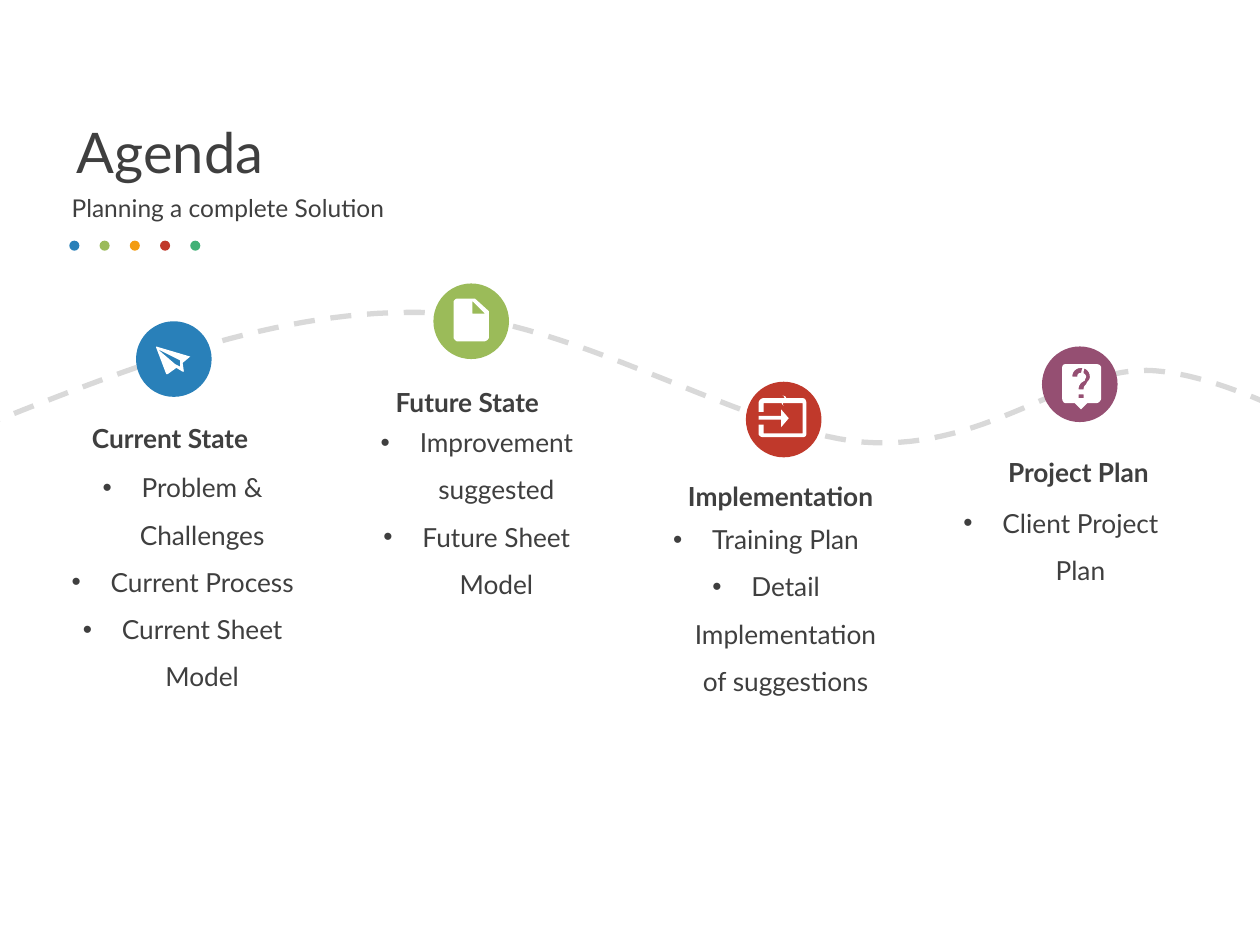
from lxml import etree
from pptx import Presentation
from pptx.dml.color import RGBColor
from pptx.enum.dml import MSO_LINE
from pptx.enum.shapes import MSO_SHAPE
from pptx.enum.text import MSO_ANCHOR, MSO_AUTO_SIZE, PP_ALIGN
from pptx.oxml.ns import qn
from pptx.util import Inches, Pt

BLUE = RGBColor(0x29, 0x80, 0xB9)
GREEN = RGBColor(0x9B, 0xBB, 0x59)
ORANGE = RGBColor(0xF3, 0x9C, 0x12)
RED = RGBColor(0xC0, 0x39, 0x2B)
TEAL = RGBColor(0x41, 0xB1, 0x76)
PURPLE = RGBColor(0x95, 0x4F, 0x72)
WHITE = RGBColor(0xFF, 0xFF, 0xFF)
GREY = RGBColor(0xD9, 0xD9, 0xD9)
INK = RGBColor(0x3F, 0x3F, 0x3F)
FONT = "Lato"

# Outlines use M (move), L (line), C (cubic curve) and Z (close), in inches.
ROAD = ("M -0.16 3.39 C 1 2.93 2.17 2.46 3.34 2.48 C 4.51 2.5 5.9 3.43 6.86 3.51 "
        "C 7.82 3.58 8.47 2.93 9.1 2.94 C 9.73 2.95 10.77 3.53 10.62 3.57")
PLANE = ("M 1.51 2.83 L 1.24 2.75 L 1.24 2.76 L 1.32 2.97 L 1.33 2.97 L 1.4 2.92 "
         "L 1.45 2.95 L 1.46 2.95 L 1.45 2.88 Z "
         "M 1.43 2.91 L 1.39 2.89 L 1.25 2.77 L 1.43 2.86 Z")
PAGE = ("M 3.75 2.49 L 3.85 2.49 L 3.75 2.39 Z "
        "M 3.63 2.37 L 3.77 2.37 L 3.88 2.47 L 3.88 2.68 C 3.88 2.69 3.86 2.71 3.84 2.71 "
        "L 3.63 2.71 C 3.62 2.71 3.6 2.69 3.6 2.68 L 3.6 2.4 C 3.6 2.38 3.62 2.37 3.63 2.37 Z")
SPARK = ("M 6.21 3.18 C 6.19 3.2 6.22 3.22 6.22 3.22 C 6.2 3.2 6.23 3.19 6.23 3.19 "
         "C 6.23 3.19 6.25 3.18 6.24 3.16 C 6.24 3.14 6.21 3.14 6.21 3.14 "
         "C 6.22 3.14 6.24 3.16 6.21 3.18 Z")
ENTER = ("M 6.2 3.39 L 6.2 3.33 L 6.02 3.33 L 6.02 3.3 L 6.2 3.3 L 6.2 3.25 L 6.26 3.32 Z "
         "M 6.37 3.16 C 6.39 3.16 6.4 3.18 6.4 3.2 L 6.4 3.44 C 6.4 3.46 6.39 3.47 6.37 3.47 "
         "L 6.06 3.47 C 6.04 3.47 6.02 3.46 6.02 3.44 L 6.02 3.37 L 6.06 3.37 L 6.06 3.44 "
         "L 6.37 3.44 L 6.37 3.2 L 6.06 3.2 L 6.06 3.27 L 6.02 3.27 L 6.02 3.2 "
         "C 6.02 3.18 6.04 3.16 6.06 3.16 Z")
GLINT = ("M 8.63 2.91 C 8.62 2.9 8.61 2.91 8.6 2.91 C 8.58 2.93 8.58 2.97 8.58 2.98 "
         "L 8.6 2.98 C 8.6 2.96 8.6 2.93 8.61 2.92 L 8.62 2.92 Z")
QUESTION = ("M 8.63 3.03 C 8.64 3.02 8.65 3.01 8.65 2.99 C 8.65 2.95 8.62 2.92 8.58 2.92 "
            "C 8.54 2.92 8.51 2.95 8.51 2.99 L 8.55 2.99 C 8.55 2.97 8.56 2.96 8.58 2.96 "
            "C 8.6 2.96 8.62 2.97 8.62 2.99 C 8.62 3 8.61 3.01 8.61 3.02 L 8.58 3.04 "
            "C 8.57 3.05 8.56 3.07 8.56 3.09 L 8.6 3.09 C 8.6 3.07 8.61 3.06 8.62 3.05 Z "
            "M 8.6 3.16 L 8.6 3.13 L 8.56 3.13 L 8.56 3.16 Z "
            "M 8.7 2.89 C 8.72 2.89 8.74 2.9 8.74 2.92 L 8.74 3.16 C 8.74 3.18 8.72 3.2 8.7 3.2 "
            "L 8.63 3.2 L 8.58 3.25 L 8.53 3.2 L 8.46 3.2 C 8.44 3.2 8.43 3.18 8.43 3.16 "
            "L 8.43 2.92 C 8.43 2.9 8.44 2.89 8.46 2.89 Z")

DOTS = [BLUE, GREEN, ORANGE, RED, TEAL]
# colour, circle corner, icon outlines, heading, heading box, bullets, bullet box
STOPS = [
    (BLUE, (1.08, 2.55), [PLANE], "Current State", (0.66, 3.19, 1.56, 0.41),
     ["Problem & Challenges", "Current Process", "Current Sheet Model"],
     (0.31, 3.57, 2.28, 1.95)),
    (GREEN, (3.44, 2.25), [PAGE], "Future State", (3.07, 2.9, 1.56, 0.41),
     ["Improvement suggested", "Future Sheet Model"], (2.81, 3.21, 1.95, 1.95)),
    (RED, (5.92, 3.03), [SPARK, ENTER], "Implementation", (5.39, 3.65, 1.98, 0.41),
     ["Training Plan", "Detail Implementation of suggestions"], (5, 3.98, 2.16, 1.95)),
    (PURPLE, (8.27, 2.75), [GLINT, QUESTION], "Project Plan", (7.93, 3.46, 2.39, 0.41),
     ["Client Project Plan"], (7.34, 3.85, 2.16, 0.81)),
]

prs = Presentation()
prs.slide_width, prs.slide_height = Inches(10), Inches(7.5)
slide = prs.slides.add_slide(prs.slide_layouts[6])
shapes = slide.shapes


def paint(sp, color):
    sp.shadow.inherit = False
    sp.fill.solid()
    sp.fill.fore_color.rgb = color
    sp.line.fill.background()


def add_circle(x, y, size, color):
    paint(shapes.add_shape(MSO_SHAPE.OVAL, Inches(x), Inches(y), Inches(size), Inches(size)), color)


def contours(outline, steps):
    """Turn an outline into (points, closed) pairs, sampling each curve."""
    for part in outline.split("M ")[1:]:
        closed = "Z" in part
        tokens = iter(part.replace("Z", "").split())
        points = [(float(next(tokens)), float(next(tokens)))]
        for command in tokens:
            count = 3 if command == "C" else 1
            ends = [(float(next(tokens)), float(next(tokens))) for _ in range(count)]
            if command == "L":
                points += ends
                continue
            curve = list(zip(points[-1], *ends))
            for i in range(1, steps + 1):
                t = i / steps
                u = 1 - t
                points.append(tuple(u**3 * a + 3 * u * u * t * b + 3 * u * t * t * c + t**3 * d
                                    for a, b, c, d in curve))
        yield points, closed


def add_outline(outline, steps=6):
    builder = None
    for points, closed in contours(outline, steps):
        points = [(Inches(x), Inches(y)) for x, y in points]
        if builder is None:
            builder = shapes.build_freeform(*points[0])
        else:
            builder.move_to(*points[0])
        builder.add_line_segments(points[1:], close=closed)
    return builder.convert_to_shape()


def add_text(box, lines, size, bold=False, spacing=1.5, bullets=False, grow=True,
             inset=(0.1, 0.05), anchor=MSO_ANCHOR.TOP, before=0):
    tf = shapes.add_textbox(*map(Inches, box)).text_frame
    tf.word_wrap = True
    tf.auto_size = MSO_AUTO_SIZE.SHAPE_TO_FIT_TEXT if grow else MSO_AUTO_SIZE.NONE
    tf.vertical_anchor = anchor
    tf.margin_left = tf.margin_right = Inches(inset[0])
    tf.margin_top = tf.margin_bottom = Inches(inset[1])
    for i, line in enumerate(lines):
        p = tf.add_paragraph() if i else tf.paragraphs[0]
        p.line_spacing = spacing
        p.space_before = Pt(before)
        if bullets:
            p.alignment = PP_ALIGN.CENTER
            pPr = p._p.get_or_add_pPr()
            pPr.set("marL", str(Inches(0.31)))
            pPr.set("indent", str(-Inches(0.31)))
            etree.SubElement(pPr, qn("a:buFont")).set("typeface", "Arial")
            etree.SubElement(pPr, qn("a:buChar")).set("char", "•")
        r = p.add_run()
        r.text = line
        r.font.name, r.font.size, r.font.bold = FONT, Pt(size), bold
        r.font.color.rgb = INK


for i, color in enumerate(DOTS):
    add_circle(0.55 + i * 0.24, 1.91, 0.08, color)

road = add_outline(ROAD, steps=30)
road.shadow.inherit = False
road.fill.background()
road.line.color.rgb = GREY
road.line.width = Pt(3)
road.line.dash_style = MSO_LINE.DASH

for color, corner, icons, heading, heading_box, bullets, bullet_box in STOPS:
    add_circle(*corner, 0.6, color)
    for icon in icons:
        paint(add_outline(icon), WHITE)
    add_text(heading_box, [heading], 15, bold=True, inset=(0.07, 0.04))
    add_text(bullet_box, bullets, 15, bullets=True)

add_text((0.51, 0.99, 9.15, 0.53), ["Agenda"], 32, spacing=0.9, grow=False,
         anchor=MSO_ANCHOR.BOTTOM)
add_text((0.47, 1.51, 9.15, 0.37), ["Planning a complete Solution"], 14, spacing=0.9,
         grow=False, before=10)

prs.save("out.pptx")
